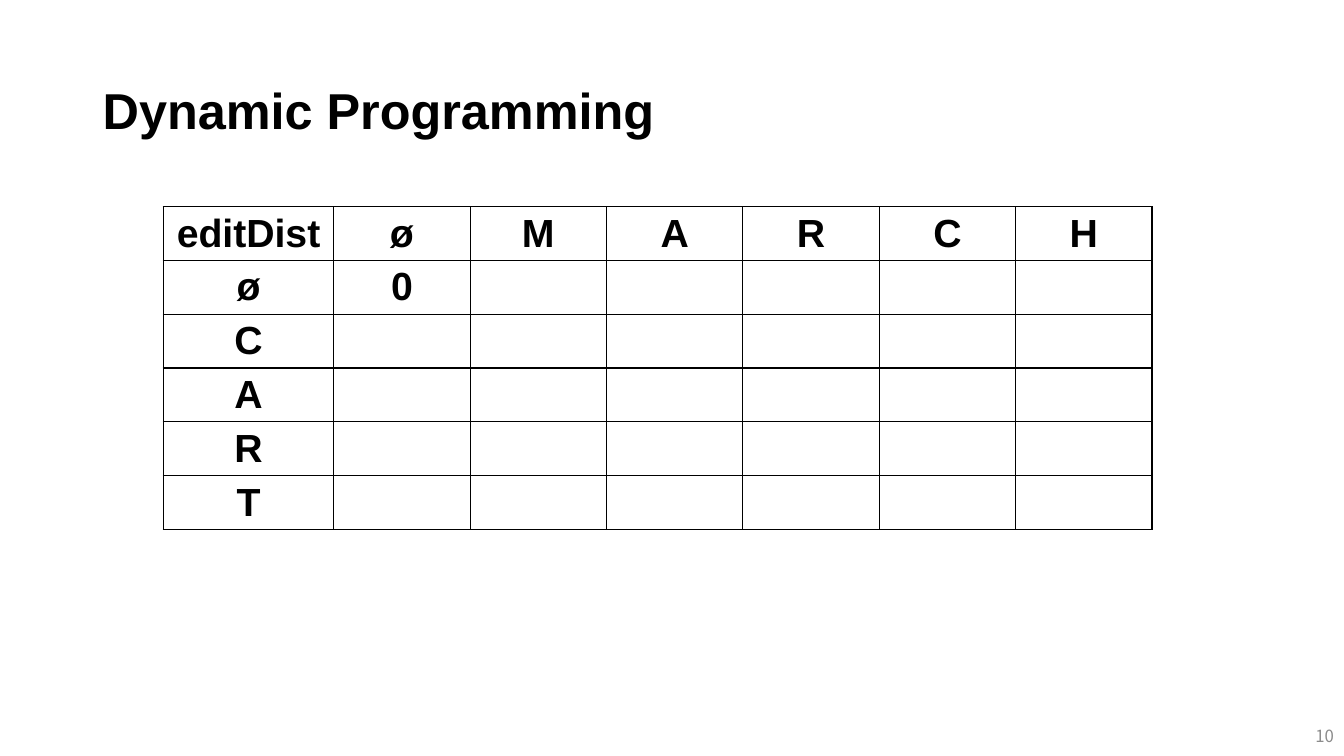
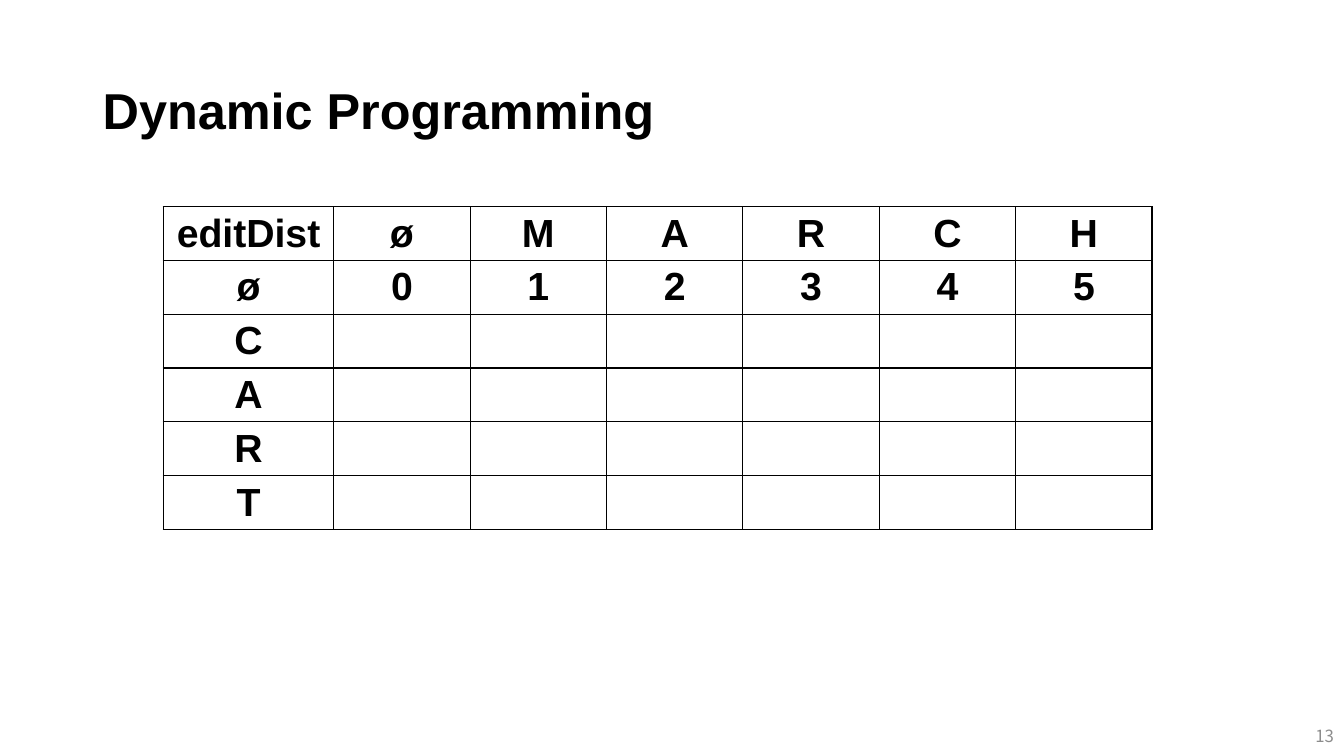
from dataclasses import dataclass

from lxml import etree
from pptx import Presentation
from pptx.dml.color import RGBColor
from pptx.enum.text import MSO_ANCHOR, PP_ALIGN
from pptx.oxml.ns import qn
from pptx.util import Inches, Pt

MIDDLE = MSO_ANCHOR.MIDDLE
LEFT, CENTER, RIGHT = PP_ALIGN.LEFT, PP_ALIGN.CENTER, PP_ALIGN.RIGHT


@dataclass(frozen=True)
class Font:
    name: str
    size: int
    color: str
    bold: bool = False


@dataclass(frozen=True)
class Theme:
    title: Font = Font("Arial", 36, "000000", True)
    cell: Font = Font("Arial", 28, "000000", True)
    page: Font = Font("Noto Sans CJK KR", 12, "8C8C8C")
    rule: str = "000000"
    weight: int = 1


class Deck:
    def __init__(self, theme):
        self.theme = theme
        self.prs = Presentation()
        self.prs.slide_width = Inches(13.33)
        self.prs.slide_height = Inches(7.5)
        self.slide = None

    # Slide with the shared title and page number
    def page(self, title, number):
        self.slide = self.prs.slides.add_slide(self.prs.slide_layouts[6])
        self.text(title, (0.92, 0.4, 11.5, 1.45), self.theme.title, LEFT, 0.9)
        self.text(str(number), (10.33, 7.1, 3, 0.4), self.theme.page, RIGHT)

    def run(self, para, text, font):
        run = para.add_run()
        run.text = text
        run.font.name = font.name
        run.font.size = Pt(font.size)
        run.font.bold = font.bold
        run.font.color.rgb = RGBColor.from_string(font.color)

    def text(self, text, box, font, align, pitch=1.0):
        frame = self.slide.shapes.add_textbox(*map(Inches, box)).text_frame
        frame.word_wrap = True
        frame.vertical_anchor = MIDDLE
        para = frame.paragraphs[0]
        para.alignment = align
        para.line_spacing = pitch
        self.run(para, text, font)

    # Ruled table; short rows leave their last cells empty
    def table(self, rows, left, top, widths, height):
        shape = self.slide.shapes.add_table(
            len(rows), len(widths), Inches(left), Inches(top),
            Inches(sum(widths)), Inches(height * len(rows)))
        table = shape.table
        table.first_row = table.horz_banding = False
        for col, width in zip(table.columns, widths):
            col.width = Inches(width)
        for line, row in zip(table.rows, rows):
            line.height = Inches(height)
            for i, cell in enumerate(line.cells):
                self.cell(cell, row[i] if i < len(row) else "")

    def cell(self, cell, text):
        cell.fill.background()
        cell.vertical_anchor = MIDDLE
        cell.margin_top = cell.margin_bottom = Inches(0.03)
        self.border(cell)
        if text:
            para = cell.text_frame.paragraphs[0]
            para.alignment = CENTER
            self.run(para, text, self.theme.cell)

    def border(self, cell):
        props = cell._tc.get_or_add_tcPr()
        for i, side in enumerate("LRTB"):
            line = etree.Element(qn(f"a:ln{side}"), w=str(Pt(self.theme.weight)))
            fill = etree.SubElement(line, qn("a:solidFill"))
            etree.SubElement(fill, qn("a:srgbClr"), val=self.theme.rule)
            props.insert(i, line)

    # Edit distance grid: one word across, the other down
    def grid(self, across, down, first):
        rows = [["editDist", *across], [down[0], *first], *down[1:]]
        widths = [1.69] + [1.353] * len(across)
        self.table(rows, 1.62, 2.05, widths, 0.534)


def main():
    deck = Deck(Theme())
    for number, first in ((10, "0"), (13, "012345")):
        deck.page("Dynamic Programming", number)
        deck.grid("øMARCH", "øCART", first)
    deck.prs.save("out.pptx")


if __name__ == "__main__":
    main()
